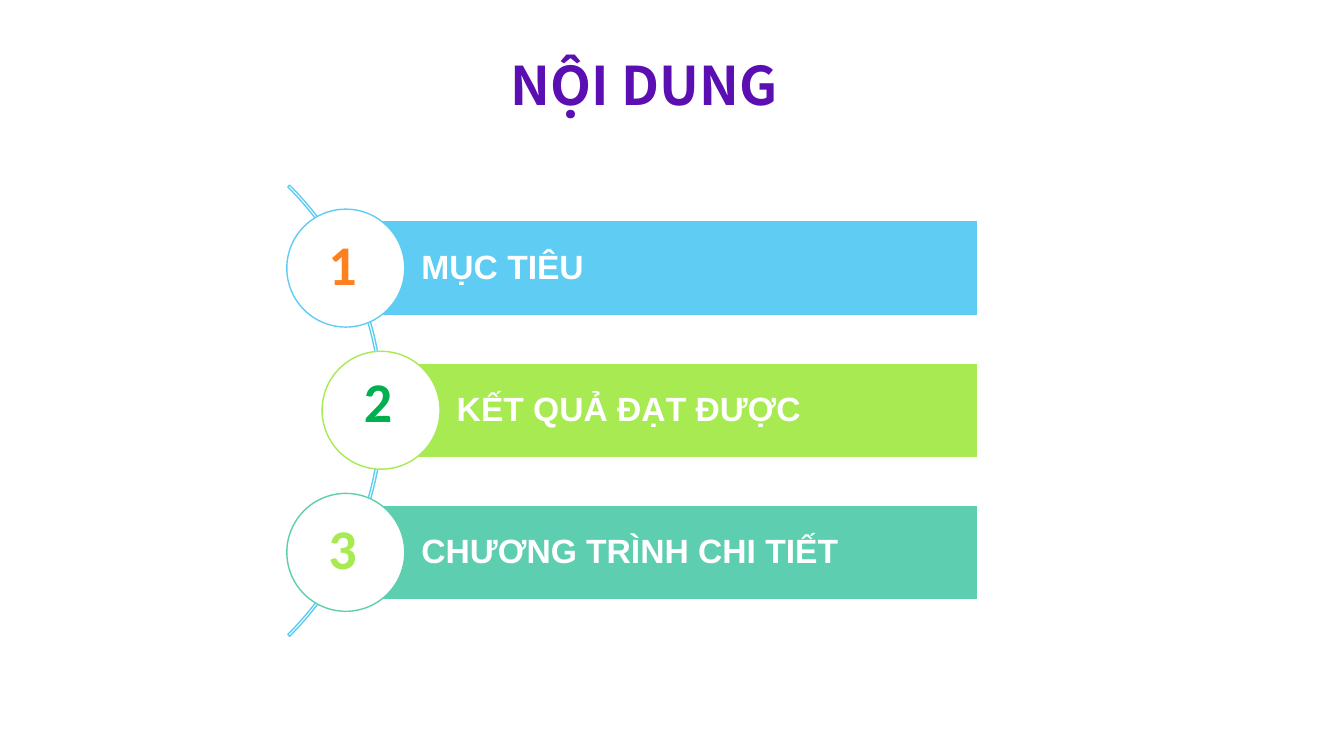
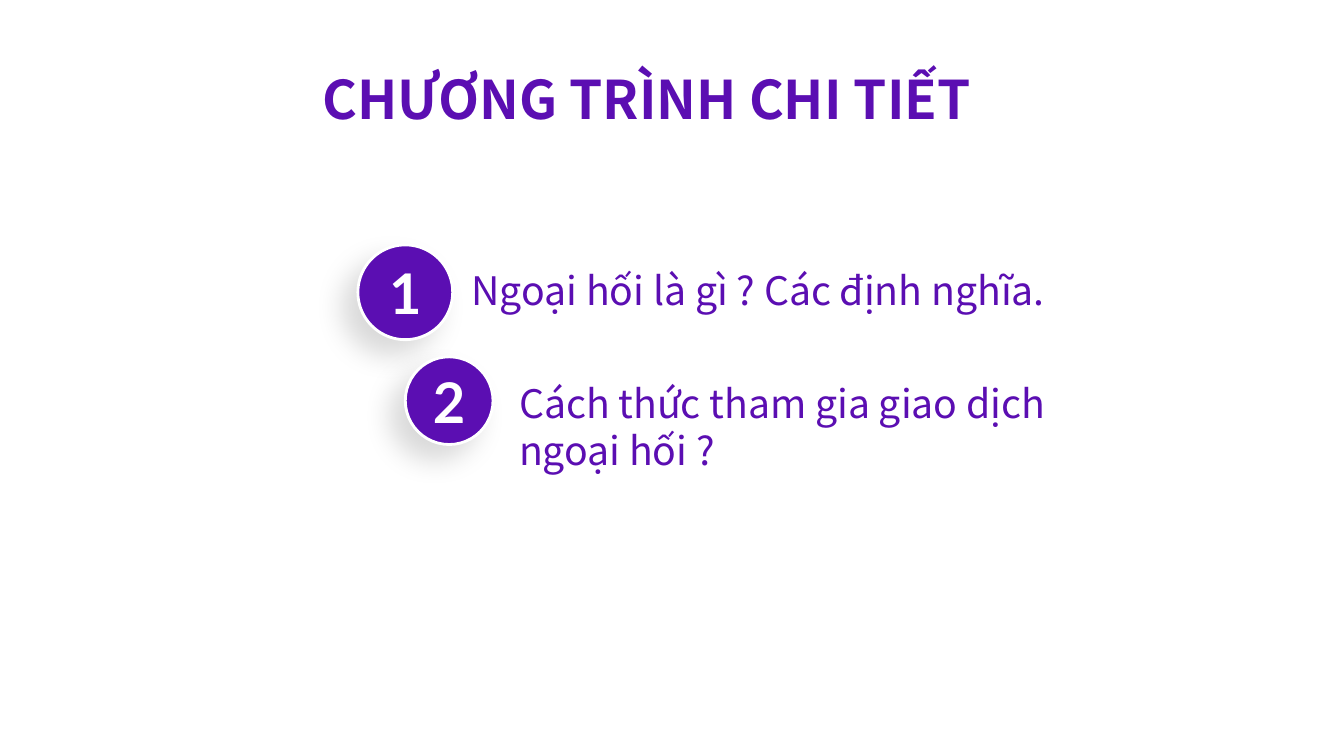
from lxml import etree
from pptx import Presentation
from pptx import util as u
from pptx.dml.color import RGBColor
from pptx.enum import shapes, text
from pptx.oxml.ns import qn

COLORS = {
    "white": "FFFFFF", "purple": "5B0EB2", "blue": "5ECCF3", "lime": "A7EA52",
    "teal": "5DCEAF", "orange": "FF8021", "green": "00B050", "black": "000000",
}
TITLE = {"name": "Noto Sans CJK SC", "size": u.Pt(38), "bold": True, "color": "purple"}
ITEM = {"name": "Noto Sans CJK SC", "size": u.Pt(28), "color": "purple"}
BAR = {"name": "Arial", "size": u.Pt(24), "bold": True, "color": "white"}
DIGIT = {"name": "Calibri", "size": u.Pt(40), "bold": True}
BADGE = {"name": "Lato", "size": u.Pt(40), "bold": True, "color": "white"}
ALIGN = text.PP_ALIGN
MIDDLE = text.MSO_ANCHOR.MIDDLE


def add_shape(s, kind, box, fill, line, width=1):
    sp = s.shapes.add_shape(kind, *[u.Inches(v) for v in box])
    sp.shadow.inherit = False
    if fill:
        sp.fill.solid()
        sp.fill.fore_color.rgb = RGBColor.from_string(COLORS[fill])
    else:
        sp.fill.background()
    sp.line.color.rgb = RGBColor.from_string(COLORS[line])
    sp.line.width = u.Pt(width)
    return sp


def write(s, where, lines, fmt, align=ALIGN.LEFT):
    """Write lines into a shape, or into a new text box at the given place."""
    if isinstance(where, tuple):
        where = s.shapes.add_textbox(*[u.Inches(v) for v in where])
    tf = where.text_frame
    tf.word_wrap = True
    for i, line in enumerate(lines):
        p = tf.paragraphs[0] if i == 0 else tf.add_paragraph()
        p.alignment = align
        r = p.add_run()
        r.text = line
        for key, value in fmt.items():
            if key == "color":
                r.font.color.rgb = RGBColor.from_string(COLORS[value])
            else:
                setattr(r.font, key, value)
    return tf


prs = Presentation()
prs.slide_width, prs.slide_height = u.Inches(13.33), u.Inches(7.5)
blank = prs.slide_layouts[6]

# Slide 1: contents along an arc
s = prs.slides.add_slide(blank)
arc = add_shape(s, shapes.MSO_SHAPE.BLOCK_ARC, (-2.53, 0.91, 6.33, 6.33), None, "blue")
for i, value in enumerate((189, 27, 0.004)):
    arc.adjustments[i] = value

bar_top, bar_pitch, bar_height, bar_right = 2.19, 1.41, 0.94, 9.7
circle = 1.17
chapters = [
    ("MỤC TIÊU", 3.43, "blue", "orange", 0.04),
    ("KẾT QUẢ ĐẠT ĐƯỢC", 3.78, "lime", "green", -0.01),
    ("CHƯƠNG TRÌNH CHI TIẾT", 3.43, "teal", "lime", 0.04),
]
for i, (label, left, color, digit_color, digit_shift) in enumerate(chapters):
    top = bar_top + i * bar_pitch
    bar = add_shape(s, shapes.MSO_SHAPE.RECTANGLE,
                    (left, top, bar_right - left, bar_height), color, "white")
    tf = write(s, bar, [label], BAR)
    tf.margin_left, tf.vertical_anchor = u.Inches(0.75), MIDDLE
    tf.paragraphs[0].line_spacing = 0.9
    # The circle is centred on the bar's left edge
    add_shape(s, shapes.MSO_SHAPE.OVAL,
              (left - circle / 2, top + (bar_height - circle) / 2, circle, circle),
              "white", color)
    write(s, (left - 0.27, top + digit_shift, 0.54, 0.77), [str(i + 1)],
          {**DIGIT, "color": digit_color})

write(s, (4.71, 0.47, 3.1, 0.74), ["NỘI DUNG"], TITLE, ALIGN.RIGHT)

# Slide 2: detailed programme
s = prs.slides.add_slide(blank)
write(s, (2.82, 0.61, 7.19, 0.74), ["CHƯƠNG TRÌNH CHI TIẾT"], TITLE, ALIGN.CENTER)
topics = [
    ((3.55, 2.43, 0.94, 0.94), (4.58, 2.59, 6.24, 0.57),
     ["Ngoại hối là gì ? Các định nghĩa."]),
    ((4.02, 3.54, 0.87, 0.87), (5.05, 3.71, 5.81, 1.04),
     ["Cách thức tham gia giao dịch", "ngoại hối ?"]),
]
for number, (badge_box, text_box, lines) in enumerate(topics, 1):
    badge = add_shape(s, shapes.MSO_SHAPE.OVAL, badge_box, "purple", "white", 2)
    tf = write(s, badge, [str(number)], BADGE, ALIGN.CENTER)
    tf.vertical_anchor = MIDDLE
    for side in ("left", "top", "right", "bottom"):
        setattr(tf, "margin_" + side, 0)
    tf.paragraphs[0].runs[0].font._element.set("spc", "300")
    # Soft shadow falling to the lower left
    effects = badge._element.spPr.find(qn("a:effectLst"))
    shadow = etree.SubElement(effects, qn("a:outerShdw"), blurRad=str(u.Pt(20)),
                              dist=str(u.Pt(15)), dir=str(135 * 60000),
                              algn="tr", rotWithShape="0")
    tint = etree.SubElement(shadow, qn("a:srgbClr"), val=COLORS["black"])
    etree.SubElement(tint, qn("a:alpha"), val="15000")
    write(s, text_box, lines, ITEM)

prs.save("out.pptx")
